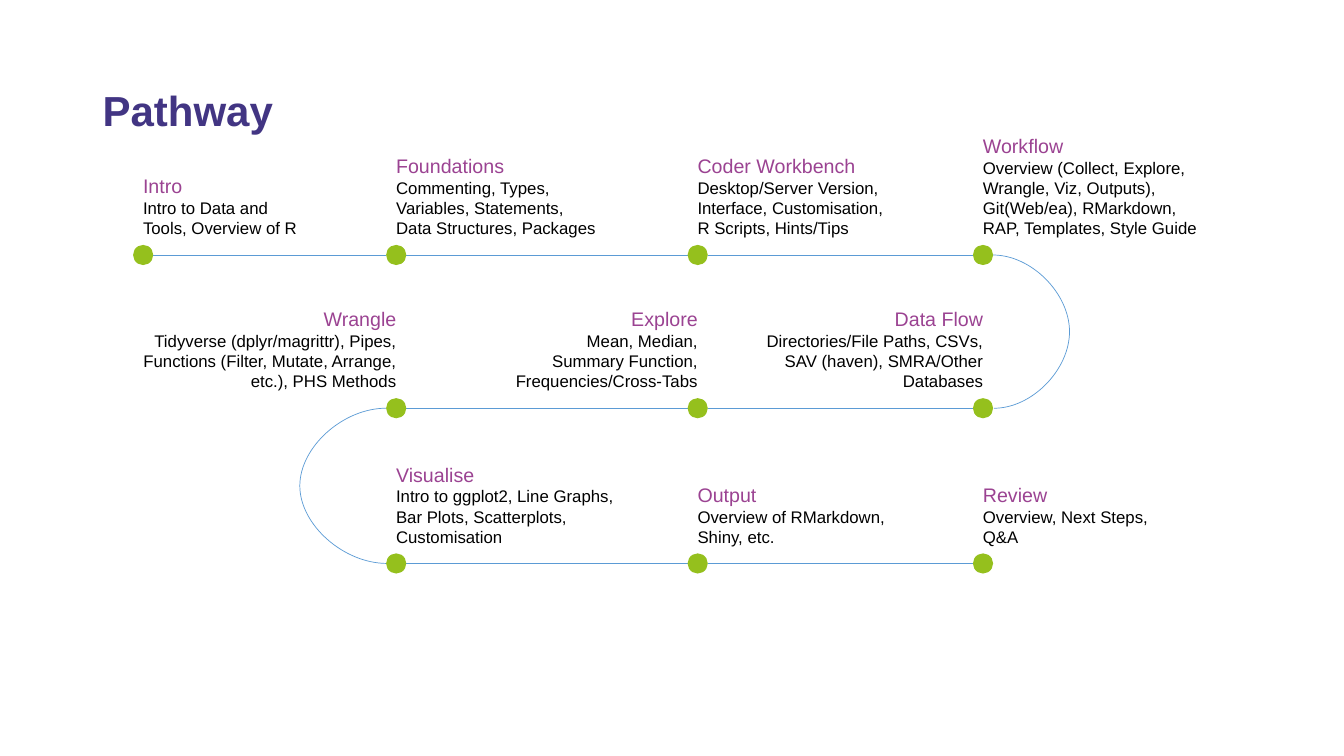
from itertools import pairwise

from pptx import Presentation
from pptx.dml.color import RGBColor
from pptx.enum.shapes import MSO_CONNECTOR, MSO_SHAPE
from pptx.enum.text import MSO_ANCHOR, MSO_AUTO_SIZE, PP_ALIGN
from pptx.oxml.ns import qn
from pptx.oxml.xmlchemy import OxmlElement
from pptx.util import Inches, Pt

CURVE = MSO_CONNECTOR.CURVE
OVAL = MSO_SHAPE.OVAL
MIDDLE = MSO_ANCHOR.MIDDLE
FIT_SHAPE = MSO_AUTO_SIZE.SHAPE_TO_FIT_TEXT
LEFT, RIGHT = PP_ALIGN.LEFT, PP_ALIGN.RIGHT

FONT = "Arial"
TITLE_COLOUR = "423583"
TOPIC_COLOUR = "9B4392"
DETAIL_COLOUR = "000000"
STOP_COLOUR = "95C01D"
PATH_COLOUR = "5B9BD5"

STOP_SIZE = 0.2
TURN_OFFSET = 0.01
COLUMNS = [1.32, 3.83, 6.82, 9.65]
ROWS = [2.43, 3.95, 5.49]

# Each stop: column, label width, number of detail lines, topic, details
STOPS = [
    (LEFT, [
        (0, 1.75, 2, "Intro", "Intro to Data and Tools, Overview of R"),
        (1, 2.22, 3, "Foundations",
         "Commenting, Types, Variables, Statements, Data Structures, Packages"),
        (2, 2.06, 3, "Coder Workbench",
         "Desktop/Server Version, Interface, Customisation, R Scripts, Hints/Tips"),
        (3, 2.36, 4, "Workflow",
         "Overview (Collect, Explore, Wrangle, Viz, Outputs), Git(Web/ea), "
         "RMarkdown, RAP, Templates, Style Guide"),
    ]),
    (RIGHT, [
        (1, 2.79, 3, "Wrangle",
         "Tidyverse (dplyr/magrittr), Pipes, Functions (Filter, Mutate, Arrange, "
         "etc.), PHS Methods"),
        (2, 2.01, 3, "Explore",
         "Mean, Median, Summary Function, Frequencies/Cross-Tabs"),
        (3, 2.36, 3, "Data Flow",
         "Directories/File Paths, CSVs, SAV (haven), SMRA/Other Databases"),
    ]),
    (LEFT, [
        (1, 2.5, 3, "Visualise",
         "Intro to ggplot2, Line Graphs, Bar Plots, Scatterplots, Customisation"),
        (2, 2.36, 2, "Output", "Overview of RMarkdown, Shiny, etc."),
        (3, 2.04, 2, "Review", "Overview, Next Steps, Q&A"),
    ]),
]


def colour(hex_string):
    return RGBColor.from_string(hex_string)


def add_run(paragraph, text, size, hex_string, bold=False):
    run = paragraph.add_run()
    run.text = text
    run.font.name = FONT
    run.font.size = Pt(size)
    run.font.bold = bold
    run.font.color.rgb = colour(hex_string)


def add_title(slide, text):
    title = slide.shapes.add_textbox(Inches(0.92), Inches(0.4), Inches(11.5), Inches(1.45))
    frame = title.text_frame
    frame.word_wrap = True
    frame.vertical_anchor = MIDDLE
    frame.paragraphs[0].line_spacing = 0.9
    add_run(frame.paragraphs[0], text, 30, TITLE_COLOUR, bold=True)


def add_path(slide, start, end, bulge=None):
    """Join two points; bulge is how far a turn reaches sideways, left if negative."""
    points = [Inches(value) for value in (*start, *end)]
    path_line = slide.shapes.add_connector(CURVE, *points)
    path_line.line.color.rgb = colour(PATH_COLOUR)
    path_line.line.width = Pt(0.5)
    properties = path_line._element.spPr
    properties.append(OxmlElement("a:effectLst"))
    if bulge is not None:
        guide = OxmlElement("a:gd")
        guide.set("name", "adj1")
        guide.set("fmla", f"val {round(bulge / TURN_OFFSET * 100000)}")
        geometry = properties.find(qn("a:prstGeom"))
        geometry.get_or_add_avLst().append(guide)


def add_turn(slide, x, row, bulge):
    """Lead the path from one row down to the next."""
    top, bottom = (y + STOP_SIZE / 2 for y in ROWS[row:row + 2])
    add_path(slide, (x, top), (x + TURN_OFFSET, bottom), bulge)


def add_stop(slide, x, y):
    stop = slide.shapes.add_shape(
        OVAL, Inches(x), Inches(y), Inches(STOP_SIZE), Inches(STOP_SIZE))
    stop.shadow.inherit = False
    stop.fill.solid()
    stop.fill.fore_color.rgb = colour(STOP_COLOUR)
    stop.line.fill.background()


def add_label(slide, x, bottom, width, detail_lines, alignment, topic, details):
    height = 0.34 + 0.2 * detail_lines
    left = x if alignment == LEFT else x + STOP_SIZE - width
    label = slide.shapes.add_textbox(
        Inches(left), Inches(bottom - height), Inches(width), Inches(height))
    frame = label.text_frame
    frame.word_wrap = True
    frame.auto_size = FIT_SHAPE
    heading, body = frame.paragraphs[0], frame.add_paragraph()
    heading.alignment = body.alignment = alignment
    add_run(heading, topic, 14, TOPIC_COLOUR)
    add_run(body, details, 12, DETAIL_COLOUR)


def add_row(slide, y, alignment, stops):
    middle = y + STOP_SIZE / 2
    for (column, *_), (next_column, *_) in pairwise(stops):
        add_path(slide, (COLUMNS[column] + STOP_SIZE, middle),
                 (COLUMNS[next_column], middle))
    for column, width, detail_lines, topic, details in stops:
        add_stop(slide, COLUMNS[column], y)
        add_label(slide, COLUMNS[column], y - 0.01, width, detail_lines,
                  alignment, topic, details)


def main():
    presentation = Presentation()
    presentation.slide_width = Inches(13.33)
    presentation.slide_height = Inches(7.5)
    slide = presentation.slides.add_slide(presentation.slide_layouts[6])

    add_title(slide, "Pathway")
    add_turn(slide, COLUMNS[3] + STOP_SIZE, 0, 0.77)
    add_turn(slide, COLUMNS[1], 1, -0.87)
    for y, (alignment, stops) in zip(ROWS, STOPS):
        add_row(slide, y, alignment, stops)

    presentation.save("out.pptx")


if __name__ == "__main__":
    main()
